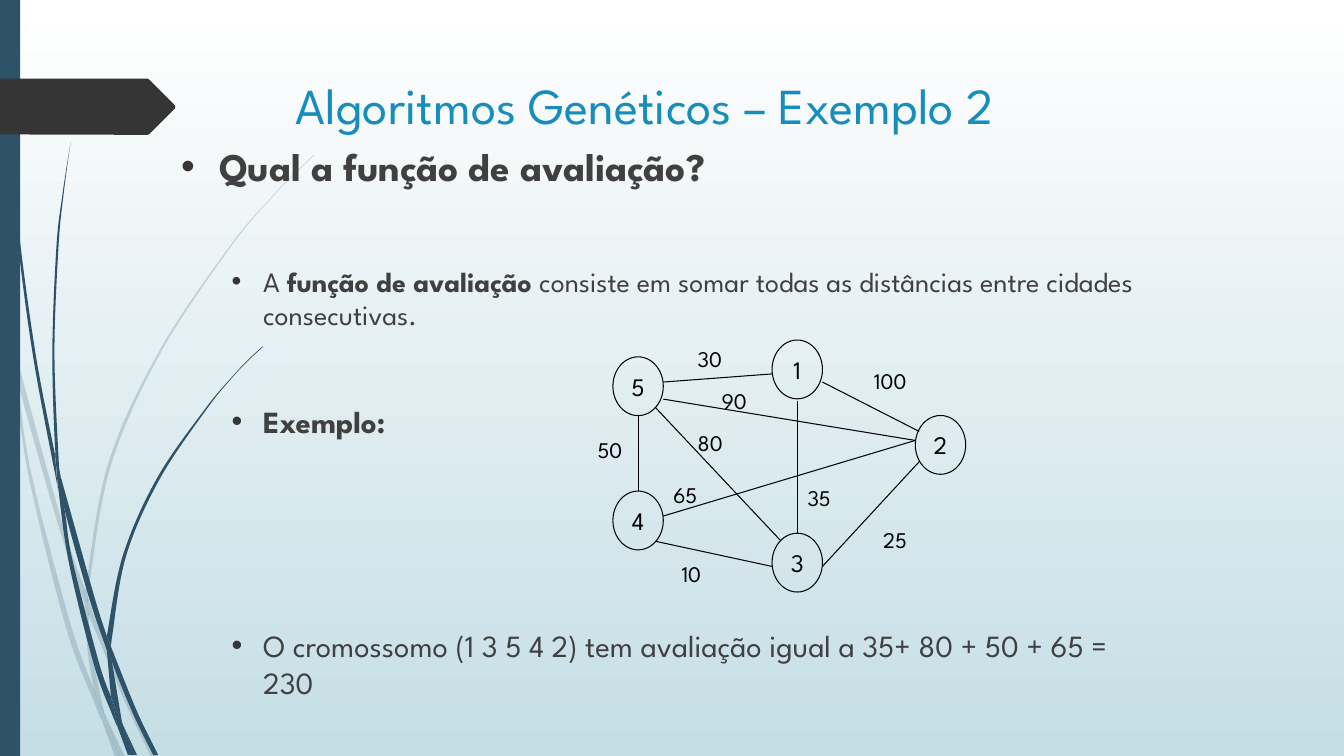
from lxml.etree import SubElement
from pptx import Presentation
from pptx.dml.color import RGBColor
from pptx.enum.shapes import MSO_CONNECTOR, MSO_SHAPE
from pptx.enum.text import MSO_ANCHOR, PP_ALIGN
from pptx.oxml.ns import qn
from pptx.util import Pt

FONT = "League Spartan"
NAVY, CHARCOAL, BLUE, GRAY, BLACK = "2E5369", "353535", "178DBB", "404040", "000000"

# Grass blade parts: smooth edges, each going on from the end of the one before
FAINT_BLADES = [
    [[(6.5, 231.8), (0, 203)], [(0, 215.3)], [(7.2, 247.7), (7.9, 252)]],
    [[(12.2, 270.7), (41.8, 375.8), (60.5, 431.3)], [(61.2, 421.9)], [(44.6, 374.4), (10.1, 248.4)]],
    [[(63.4, 429.1)], [(63.4, 439.2)], [(88.6, 499.7), (108, 540.7)], [(111.6, 540.7)],
     [(91.4, 498.2), (66.2, 437)]],
    [[(89.3, 540.7)], [(75.6, 511.9)], [(85.7, 540.7)]],
    [[(50.4, 445.7), (22.3, 337.7), (12.2, 270.7), (7.9, 252)],
     [(20.2, 338.4), (46.8, 447.1), (66.2, 499), (72.7, 514.1)], [(71.3, 509), (67, 491.8)]],
    [[(62.6, 465.1), (67, 491.8), (69.1, 498.2), (75.6, 511.9)],
     [(74.2, 508.3), (65.5, 465.1), (63.4, 439.2)], [(63.4, 437.8), (60.5, 431.3)]],
    [[(63.4, 420.5), (79.2, 332.6), (115.2, 251.3), (164.9, 176.4), (193, 142.6), (208.8, 126),
      (224.6, 110.9)], [(224.6, 110.2)],
     [(208.1, 126), (193, 141.8), (164.2, 175.7), (113.8, 250.6), (77, 331.9), (61.2, 420.5),
      (61.2, 421.9)], [(63.4, 429.1)]],
    [[(82.1, 540.7)], [(85.7, 540.7)], [(72.7, 514.1)]],
    [[(63.4, 439.2)], [(63.4, 429.1)], [(61.2, 421.9)], [(60.5, 431.3)], [(63.4, 437.8)]],
    [[(67, 491.8)], [(71.3, 509), (72.7, 514.1), (85.7, 540.7)], [(75.6, 511.9), (69.1, 498.2)]],
]
DARK_BLADES = [
    [[(2.9, 34.6), (5, 79.2), (12.2, 167.8), (23.8, 255.6), (40.3, 343.4), (41, 346.3)],
     [(39.6, 329), (39.6, 326.2)],
     [(25.9, 255.6), (13.7, 167), (5.8, 78.5), (3.6, 34.6), (2.9, 0)], [(2.2, 0)]],
    [[(46.1, 363.6), (63.4, 426.2), (76.3, 464.4)], [(76.3, 455.8), (76.3, 454.3)],
     [(67, 424.8), (43.2, 339.8)]],
    [[(79.9, 472.3), (95, 509.8), (109.4, 539.3)], [(113, 539.3)],
     [(97.9, 508.3), (81.4, 467.3), (79.2, 461.5)]],
    [[(70.6, 473), (51.8, 400.3), (46.1, 363.6), (41, 343.4)],
     [(49, 401), (67, 474.5), (79.9, 509.8), (84.2, 519.8)], [(83.5, 516.2), (79.2, 497.5)]],
    [[(41.8, 326.2), (38.9, 251.3), (41.8, 176.4), (45.4, 139), (50.4, 101.5)],
     [(44.6, 139), (40.3, 176.4), (37.4, 251.3), (39.6, 323.3), (43.2, 339.8)]],
    [[(97.9, 539.3)], [(87.8, 517.7)], [(95.8, 539.3)]],
    [[(46.1, 363.6)], [(43.2, 339.8)], [(39.6, 323.3)], [(39.6, 326.2)], [(41, 343.4)]],
    [[(90, 397.4), (113.8, 342.7), (147.6, 292.3), (166.3, 269.3), (176.4, 258.5), (187.9, 247.7)],
     [(187.2, 247.7)],
     [(176.4, 257.8), (166.3, 268.6), (146.9, 291.6), (112.3, 341.3), (87.8, 396.7), (76.3, 454.3)],
     [(79.2, 461.5)], [(79.9, 455.8)]],
    [[(91.4, 539.3)], [(94.3, 539.3)], [(84.2, 519.8)]],
    [[(79.2, 497.5)], [(83.5, 508.3), (87.8, 517.7)], [(87.1, 515.5), (79.9, 472.3)],
     [(78.5, 468.7), (76.3, 464.4)]],
    [[(78.5, 468.7), (79.9, 472.3)], [(79.2, 461.5)], [(76.3, 454.3)], [(76.3, 464.4)]],
    [[(79.2, 497.5)], [(83.5, 516.2), (84.2, 519.8)], [(93.6, 539.3)], [(95.8, 539.3)],
     [(87.8, 517.7), (83.5, 508.3)]],
]
TITLE_TAG = [(0, 56.2), (105.5, 56.2), (106.8, 57), (124.8, 75), (125.2, 76.3),
             (124.8, 77.7), (106.8, 95.6), (105.5, 96.3), (0, 96)]

# City number: left, top
CITIES = {"1": (551.5, 242.9), "2": (653.8, 296.8), "3": (551.5, 380.9),
          "4": (437.8, 350.8), "5": (437.8, 254.9)}
# Distance, line start, line end, label corner
ROADS = [
    ("30", (473.8, 272.9), (551.5, 267.1), (491.2, 242.9)),
    ("50", (455.8, 296.6), (455.8, 350.6), (419.8, 308.2)),
    ("10", (468, 386.6), (551.5, 404.6), (479.7, 396.7)),
    ("25", (587.5, 404.6), (656.6, 329.8), (623.7, 372.2)),
    ("100", (587.5, 272.9), (656.6, 308.2), (617.2, 258.5)),
    ("65", (653.8, 314.6), (473.8, 368.6), (473.8, 339.8)),
    ("90", (653.8, 314.6), (473.8, 285.1), (508.3, 272.9)),
    ("35", (569.5, 380.9), (569.5, 286.6), (569.7, 342.5)),
    ("80", (558, 386.6), (468, 290.9), (491.2, 303.1)),
]
# Left indent, hanging indent, space before, font size, (text, bold) parts
BULLETS = [
    (27, 27, 0, 28, [("Qual a função de avaliação?", True)]),
    (58.5, 22.5, 53.5, 20, [
        ("A ", False), ("função de avaliação", True),
        (" consiste em somar todas as distâncias entre cidades consecutivas.", False)]),
    (58.5, 22.5, 50.8, 22, [("Exemplo:", True)]),
    (58.5, 22.5, 134, 22, [
        ("O cromossomo (1 3 5 4 2) tem avaliação igual a 35+ 80 + 50 + 65 = 230", False)]),
]


def color(code):
    return RGBColor.from_string(code)


def style_run(run, size, code, bold=False):
    run.font.name = FONT
    run.font.size = Pt(size)
    run.font.bold = bold
    run.font.color.rgb = color(code)


def paint(shape, code):
    shape.shadow.inherit = False
    shape.fill.solid()
    shape.fill.fore_color.rgb = color(code)
    shape.line.fill.background()


def set_opacity(shape, percent):
    tone = shape.fill._xPr.find(f"{qn('a:solidFill')}/{qn('a:srgbClr')}")
    SubElement(tone, qn("a:alpha")).set("val", str(percent * 1000))


def add_background(slide):
    fill = slide.background.fill
    fill.gradient()
    fill.gradient_angle = 270
    for stop, code, position in zip(fill.gradient_stops, ("FFFFFF", "C5DEE5"), (0, 1)):
        stop.color.rgb = color(code)
        stop.position = position


def add_outline(slide, points, code):
    corners = [(Pt(x), Pt(y)) for x, y in points]
    builder = slide.shapes.build_freeform(*corners[0])
    builder.add_line_segments(corners[1:], close=True)
    shape = builder.convert_to_shape()
    paint(shape, code)
    return shape


def toward(point, ahead, behind):
    """Move a point by a sixth of the way from behind to ahead."""
    return tuple(p + (a - b) / 6 for p, a, b in zip(point, ahead, behind))


def add_blade(slide, edges):
    """Draw the edges as Bézier curves, each knot after two control points."""
    points = [edges[-1][-1]]
    for edge in edges:
        knots = [points[-1], points[-1], *edge, edge[-1]]
        for before, start, end, after in zip(knots, knots[1:], knots[2:], knots[3:]):
            points += [toward(start, end, before), toward(end, start, after), end]
    shape = add_outline(slide, points, NAVY)
    lines = list(shape._element.iter(qn("a:lnTo")))
    for first, second, third in zip(lines[::3], lines[1::3], lines[2::3]):
        first.tag = qn("a:cubicBezTo")
        for line in (second, third):
            first.append(line[0])
            line.getparent().remove(line)
    return shape


def add_text_box(slide, left, top, width, height, wrap=True):
    box = slide.shapes.add_textbox(Pt(left), Pt(top), Pt(width), Pt(height))
    box.text_frame.word_wrap = wrap
    return box.text_frame


def add_text(slide, text, size, code, *place, wrap=True):
    frame = add_text_box(slide, *place, wrap=wrap)
    frame.text = text
    style_run(frame.paragraphs[0].runs[0], size, code)


def add_bullets(slide):
    frame = add_text_box(slide, 122.4, 97.9, 702.7, 356.4)
    for index, (margin, hanging, before, size, parts) in enumerate(BULLETS):
        para = frame.add_paragraph() if index else frame.paragraphs[0]
        para.space_before = Pt(before)
        props = para._p.get_or_add_pPr()
        props.set("marL", str(Pt(margin)))
        props.set("indent", str(-Pt(hanging)))
        tone = SubElement(props, qn("a:buClr"))
        SubElement(tone, qn("a:srgbClr")).set("val", CHARCOAL)
        SubElement(props, qn("a:buFont")).set("typeface", "Arial")
        SubElement(props, qn("a:buChar")).set("char", "•")
        for text, bold in parts:
            span = para.add_run()
            span.text = text
            style_run(span, size, GRAY, bold)


def outline_black(shape):
    shape.line.color.rgb = color(BLACK)
    shape.line.width = Pt(0.75)


def add_road(slide, start, end):
    ends = [Pt(value) for value in (*start, *end)]
    road = slide.shapes.add_connector(MSO_CONNECTOR.STRAIGHT, *ends)
    outline_black(road)
    SubElement(road._element.spPr, qn("a:effectLst"))


def add_city(slide, number, left, top):
    city = slide.shapes.add_shape(MSO_SHAPE.OVAL, Pt(left), Pt(top), Pt(36), Pt(42))
    city.shadow.inherit = False
    city.fill.background()
    outline_black(city)
    frame = city.text_frame
    frame.text = number
    frame.word_wrap = False
    frame.vertical_anchor = MSO_ANCHOR.MIDDLE
    frame.paragraphs[0].alignment = PP_ALIGN.CENTER
    style_run(frame.paragraphs[0].runs[0], 18, BLACK)


def main():
    deck = Presentation()
    deck.slide_width, deck.slide_height = Pt(960), Pt(540)
    slide = deck.slides.add_slide(deck.slide_layouts[6])
    add_background(slide)
    for edges in FAINT_BLADES:
        set_opacity(add_blade(slide, edges), 20)
    for edges in DARK_BLADES:
        add_blade(slide, edges)
    paint(slide.shapes.add_shape(MSO_SHAPE.RECTANGLE, 0, 0, Pt(14.4), Pt(540)), NAVY)
    add_outline(slide, TITLE_TAG, CHARCOAL)
    add_text(slide, "Algoritmos Genéticos – Exemplo 2", 36, BLUE, 204, 49.3, 702, 100.8)
    add_bullets(slide)
    for _, start, end, _ in ROADS:
        add_road(slide, start, end)
    for number, corner in CITIES.items():
        add_city(slide, number, *corner)
    for distance, _, _, corner in ROADS:
        width = 14.4 + 9 * len(distance)
        add_text(slide, distance, 16, BLACK, *corner, width, 26.6, wrap=False)
    deck.save("out.pptx")


if __name__ == "__main__":
    main()
